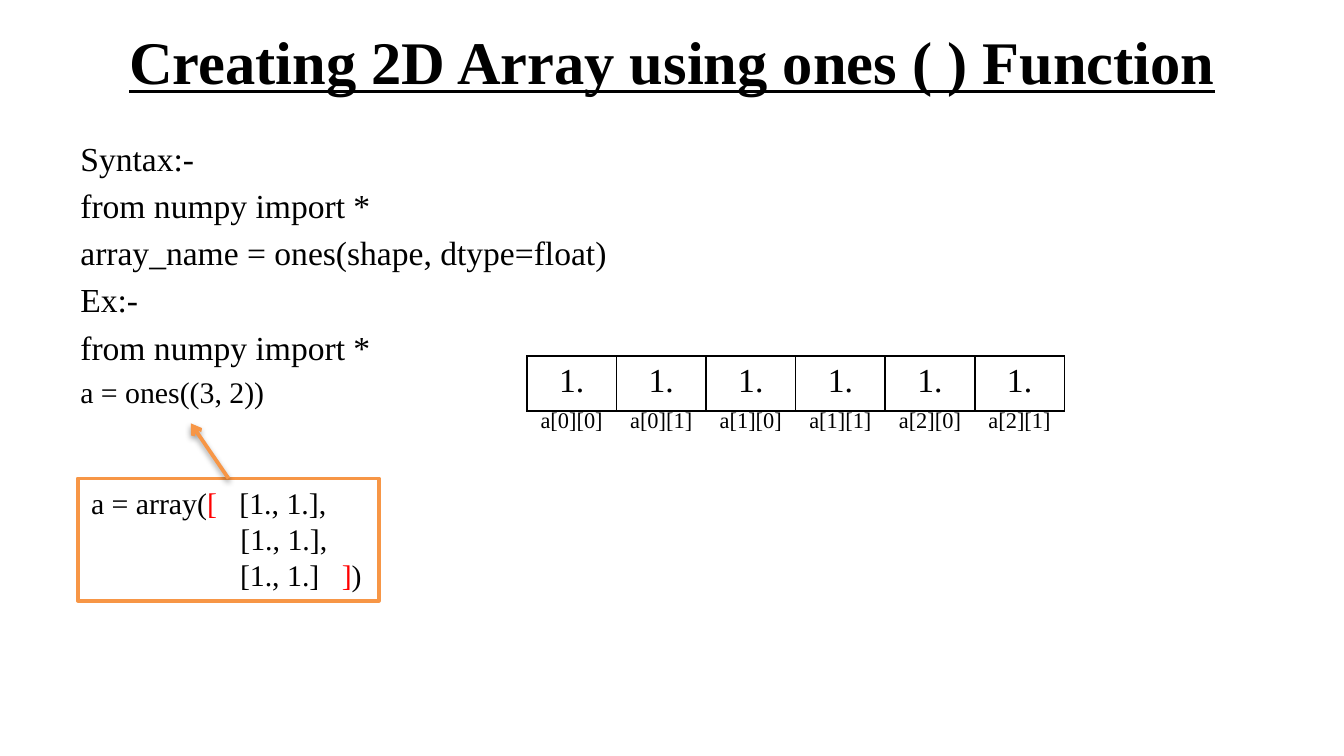
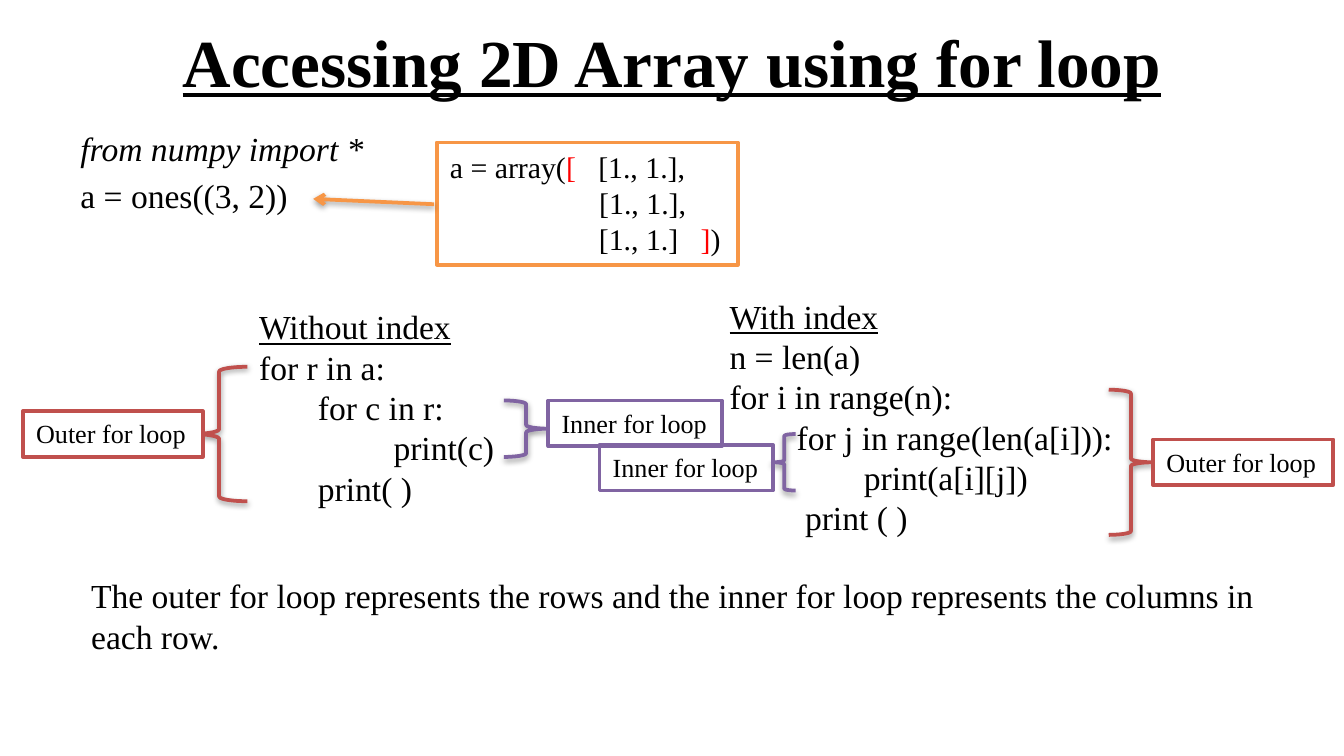
from lxml import etree
from pptx import Presentation
from pptx.dml.color import RGBColor
from pptx.enum.shapes import MSO_CONNECTOR as Connector, MSO_SHAPE as Shape
from pptx.enum.text import MSO_ANCHOR as Anchor, MSO_AUTO_SIZE as AutoSize, PP_ALIGN as Align
from pptx.oxml.ns import qn
from pptx.util import Pt

PX = 9144
FONT = "Times New Roman"
BLACK, WHITE, RED = "000000", "FFFFFF", "FF0000"
ORANGE, BRICK, PURPLE = "F79646", "C0504D", "8064A2"
ARRAY_LINES = [
    ["a = array(", ("[   ", {"color": RED}), "[1., 1.],"],
    ["\t  [1., 1.],"],
    ["                    [1., 1.]   ", ("]", {"color": RED}), ")"],
]


def px(*lengths):
    """Turn px lengths into EMU."""
    return [length * PX for length in lengths]


def hex_color(value):
    """Turn a hex string into a colour."""
    return RGBColor.from_string(value)


def add_span(para, text, size, color=BLACK, **style):
    """Add one formatted run to a paragraph."""
    span = para.add_run()
    span.text = text
    font = span.font
    font.name, font.size = FONT, Pt(size)
    font.color.rgb = hex_color(color)
    for name, value in style.items():
        setattr(font, name, value)


def add_tab_stop(para):
    """Give a paragraph a left tab stop at 100 px."""
    stops = etree.SubElement(para._p.get_or_add_pPr(), qn("a:tabLst"))
    etree.SubElement(stops, qn("a:tab"), pos=str(100 * PX), algn="l")


def write_lines(frame, lines, size, gap=0, align=Align.LEFT):
    """Fill a text frame; each line is a list of strings or (text, style) pairs."""
    for index, line in enumerate(lines):
        para = frame.add_paragraph() if index else frame.paragraphs[0]
        para.alignment = align
        para.space_before = Pt(gap if index else 0)
        parts = [part if isinstance(part, tuple) else (part, {}) for part in line]
        if parts[0][0].startswith("\t"):
            add_tab_stop(para)
        for text, style in parts:
            add_span(para, text, **{"size": size, **style})


def set_outline(shape, color):
    """Give a shape or connector its 2 pt line."""
    shape.line.color.rgb = hex_color(color)
    shape.line.width = Pt(2)


def add_shadow(shape):
    """Give a shape or connector a soft shadow below it."""
    effects = etree.SubElement(shape._element.spPr, qn("a:effectLst"))
    shadow = etree.SubElement(effects, qn("a:outerShdw"), blurRad="40000", dist="20000",
                              dir="5400000", rotWithShape="0")
    color = etree.SubElement(shadow, qn("a:srgbClr"), val=BLACK)
    etree.SubElement(color, qn("a:alpha"), val="38000")


def add_page(deck, title, size):
    """Add a title-only slide with the shared heading style."""
    page = deck.slides.add_slide(deck.slide_layouts[5])
    heading = page.shapes.title
    heading.left, heading.top, heading.width, heading.height = px(50, -2, 900, 94)
    frame = heading.text_frame
    frame.word_wrap, frame.auto_size = True, AutoSize.NONE
    frame.vertical_anchor = Anchor.MIDDLE
    write_lines(frame, [[(title, {"bold": True, "underline": True})]], size, align=Align.CENTER)
    return page


def add_text(page, box, lines, gap=0):
    """Place a plain block of 18 pt lines."""
    frame = page.shapes.add_textbox(*px(*box)).text_frame
    frame.word_wrap = True
    write_lines(frame, lines, 18, gap)


def add_frame(page, box, color, lines, size, filled=True):
    """Place an outlined rectangle that holds text."""
    shape = page.shapes.add_shape(Shape.RECTANGLE, *px(*box))
    shape.shadow.inherit = False
    if filled:
        shape.fill.solid()
        shape.fill.fore_color.rgb = hex_color(WHITE)
    else:
        shape.fill.background()
    set_outline(shape, color)
    frame = shape.text_frame
    frame.word_wrap, frame.auto_size = False, AutoSize.SHAPE_TO_FIT_TEXT
    frame.vertical_anchor = Anchor.TOP
    write_lines(frame, lines, size)


def add_array(page, left, top, start, end):
    """Place the array value box and the arrow, given relative to its corner."""
    add_frame(page, (left, top, 224, 91), ORANGE, ARRAY_LINES, 16)
    ends = px(left + start[0], top + start[1], left + end[0], top + end[1])
    arrow = page.shapes.add_connector(Connector.STRAIGHT, *ends)
    set_outline(arrow, ORANGE)
    etree.SubElement(arrow.line._get_or_add_ln(), qn("a:tailEnd"), type="arrow")
    add_shadow(arrow)


def add_loop_mark(page, box, text, color, kind, brace_box, filled=True):
    """Place a loop label and its brace, given relative to the label's corner."""
    left, top = box[:2]
    dx, dy, width, height = brace_box
    brace = page.shapes.add_shape(kind, *px(left + dx, top + dy, width, height))
    brace.fill.background()
    set_outline(brace, color)
    add_shadow(brace)
    add_frame(page, box, color, [[text]], 14, filled)


def set_borders(cell, color):
    """Draw 1 pt borders round a cell, or none without a colour."""
    properties = cell._tc.get_or_add_tcPr()
    for index, side in enumerate(("lnL", "lnR", "lnT", "lnB")):
        line = etree.Element(qn(f"a:{side}"), w="12700")
        if color:
            fill = etree.SubElement(line, qn("a:solidFill"))
            etree.SubElement(fill, qn("a:srgbClr"), val=color)
        else:
            etree.SubElement(line, qn("a:noFill"))
        properties.insert(index, line)


def add_row(page, box, values, size, border=None):
    """Place a one-row table of equal cells."""
    table = page.shapes.add_table(1, len(values), *px(*box)).table
    table.first_row = table.horz_banding = False
    for cell, value in zip(table.rows[0].cells, values):
        cell.margin_left = cell.margin_right = 4 * PX
        cell.fill.background()
        set_borders(cell, border)
        write_lines(cell.text_frame, [[value]], size, align=Align.CENTER)


def build_ones(deck):
    """Build the slide on creating an array with ones."""
    page = add_page(deck, "Creating 2D Array using ones ( ) Function", 32.4)
    add_text(page, (50, 98, 900, 433), [
        ["Syntax:-"],
        ["from numpy import *"],
        ["array_name = ones(shape, dtype=float)"],
        ["Ex:-"],
        ["from numpy import *"],
        [("a = ones((3, 2))", {"size": 16})],
    ], gap=3.6)
    names = [f"a[{row}][{column}]" for row in range(3) for column in range(2)]
    add_row(page, (392, 265, 400, 41), ["1."] * len(names), 18, BLACK)
    add_row(page, (392, 299, 400, 41), names, 12)
    add_array(page, 58, 356, (112, 0), (84, -41))


def build_loops(deck):
    """Build the slide on reading an array with for loops."""
    page = add_page(deck, "Accessing 2D Array using for loop", 36)
    add_text(page, (50, 90, 742, 125), [
        [("from numpy import *", {"italic": True})],
        ["a = ones((3, 2))"],
    ], gap=3.6)
    add_text(page, (533, 215, 367, 192), [
        [("With index", {"underline": True})],
        ["n = len(a)"],
        ["for i in range(n):"],
        ["        for j in range(len(a[i])):"],
        ["\tprint(a[i][j])"],
        ["         print ( )"],
    ])
    add_text(page, (183, 223, 258, 162), [
        [("Without index", {"underline": True})],
        ["for r in a:"],
        ["       for c in r:"],
        ["\tprint(c)"],
        ["       print( )"],
    ])
    outer, inner = ("Outer for loop", BRICK), ("Inner for loop", PURPLE)
    opening, closing = Shape.LEFT_BRACE, Shape.RIGHT_BRACE
    add_loop_mark(page, (17, 306, 134, 34), *outer, opening, (125, -33, 42, 100))
    add_loop_mark(page, (858, 327, 134, 34), *outer, closing, (-33, -37, 33, 108))
    add_loop_mark(page, (408, 298, 129, 34), *inner, closing, (-33, 0, 33, 42))
    add_loop_mark(page, (446, 331, 129, 34), *inner, opening, (129, -8, 17, 42), filled=False)
    add_text(page, (58, 423, 909, 71), [
        ["The outer for loop represents the rows and the inner for loop "
         "represents the columns in each row."],
    ])
    add_array(page, 325, 106, (-2, 46), (-92, 42))


def main():
    """Build and save the deck."""
    deck = Presentation()
    deck.slide_width = 1000 * PX
    deck.slide_height = deck.slide_width * 9 // 16
    build_ones(deck)
    build_loops(deck)
    deck.save("out.pptx")


if __name__ == "__main__":
    main()
